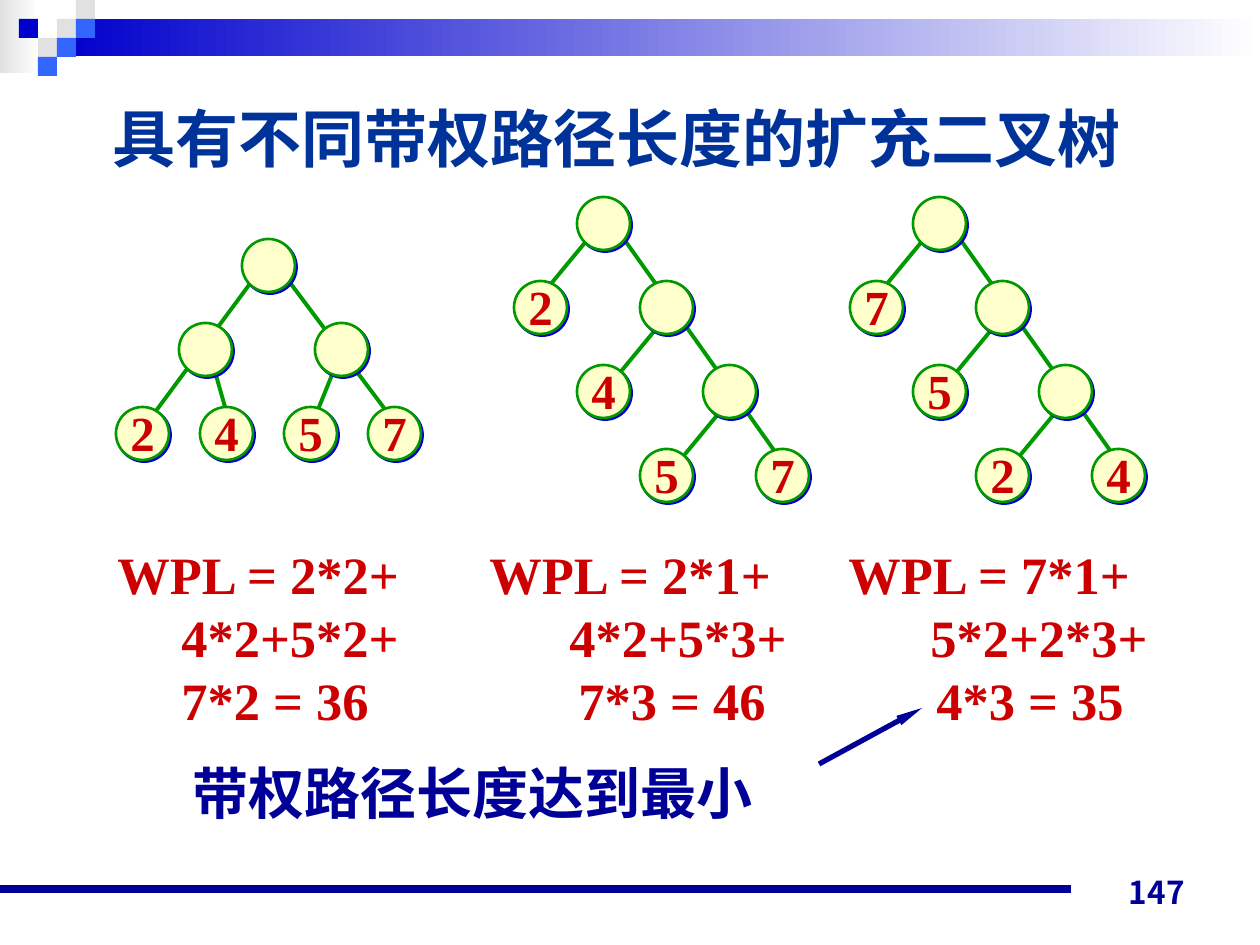
"""Build a slide comparing the weighted path lengths of three extended binary trees."""
from lxml.etree import SubElement
from pptx import Presentation
from pptx.dml.color import RGBColor
from pptx.enum.shapes import MSO_CONNECTOR as Connector, MSO_SHAPE as Shape
from pptx.enum.text import MSO_ANCHOR as Anchor, PP_ALIGN as Align
from pptx.oxml.ns import qn
from pptx.util import Pt

EMU_PER_PX = 914400 / 126
COLORS = {
    "white": "FFFFFF", "grey": "E1E1E1", "blue": "0000CC", "sky": "3366FF",
    "navy": "000099", "title": "003399", "green": "009900", "cream": "FFFFCC",
    "red": "CC0000",
}
SERIF, SANS, NUMBER = "Times New Roman", "Noto Sans CJK SC", "Noto Sans CJK JP"
CELL, NODE, LEVEL, STEP = 19, 53, 84, 63


def px(value):
    return round(value * EMU_PER_PX)


def rgb(name):
    return RGBColor.from_string(COLORS[name])


class Painter:
    """Draws styled elements on the current slide."""

    def __init__(self, page):
        self.page = page

    def shape(self, kind, left, top, width, height):
        shape = self.page.shapes.add_shape(kind, px(left), px(top), px(width), px(height))
        shape.shadow.inherit = False
        return shape

    def rect(self, left, top, width, height, color, end=None):
        rect = self.shape(Shape.RECTANGLE, left, top, width, height)
        rect.line.fill.background()
        if end is None:
            rect.fill.solid()
            rect.fill.fore_color.rgb = rgb(color)
            return
        rect.fill.gradient()
        rect.fill.gradient_angle = 0
        for stop, name in zip(rect.fill.gradient_stops, (color, end)):
            stop.color.rgb = rgb(name)

    def line(self, start, end, color="green", weight=2.25, arrow=False):
        line = self.page.shapes.add_connector(
            Connector.STRAIGHT, *(px(value) for value in (*start, *end)))
        line.line.color.rgb = rgb(color)
        line.line.width = Pt(weight)
        if arrow:
            SubElement(line.line._get_or_add_ln(), qn("a:tailEnd"),
                       type="triangle", w="sm", len="lg")
        SubElement(line._element.spPr, qn("a:effectLst"))

    def node(self, left, top):
        node = self.shape(Shape.OVAL, left, top, NODE, NODE)
        node.fill.solid()
        node.fill.fore_color.rgb = rgb("cream")
        node.line.color.rgb = rgb("green")
        node.line.width = Pt(1.5)
        effects = node._element.spPr.find(qn("a:effectLst"))
        shadow = SubElement(effects, qn("a:outerShdw"), dist=str(Pt(1.4)), dir="2700000",
                            algn="ctr", rotWithShape="0")
        SubElement(shadow, qn("a:srgbClr"), val=COLORS["blue"])

    def box(self, left, top, width, height, anchor=Anchor.TOP, wrap=True, margin=6):
        box = self.page.shapes.add_textbox(px(left), px(top), px(width), px(height))
        frame = box.text_frame
        frame.word_wrap = wrap
        frame.vertical_anchor = anchor
        frame.margin_top = frame.margin_bottom = px(margin)
        return frame

    def style(self, para, text, size, color, font=SERIF, align=Align.LEFT, tabs=()):
        para.text = text
        para.alignment = align
        if tabs:
            stops = SubElement(para._p.get_or_add_pPr(), qn("a:tabLst"))
            for stop in tabs:
                SubElement(stops, qn("a:tab"), pos=str(px(stop)), algn="l")
        para.font.size = Pt(size)
        para.font.bold = True
        para.font.color.rgb = rgb(color)
        para.font.name = font
        east_asian = SANS if font == SERIF else font
        SubElement(para.font._element, qn("a:ea"), typeface=east_asian)

    def label(self, left, top, text):
        frame = self.box(left + 2, top - 11, 49, 71, Anchor.MIDDLE, wrap=False)
        self.style(frame.paragraphs[0], text, 28, "red", align=Align.CENTER)

    def tree(self, edges, nodes):
        for start, end in edges:
            self.line(start, end)
        for left, top, _ in nodes:
            self.node(left, top)
        for left, top, text in nodes:
            if text:
                self.label(left, top, text)


def balanced_tree():
    edges = [((273, 260), (399, 428)), ((336, 365), (315, 417)),
             ((210, 354), (231, 428)), ((252, 281), (136, 438))]
    nodes = [(242, 239, ""), (179, 323, ""), (315, 323, "")]
    nodes += [(116 + LEVEL * i, 407, weight) for i, weight in enumerate("2457")]
    return edges, nodes


def skewed_tree(left, top, weights):
    edges = []
    for level, x in enumerate((11, 84, 147)):
        start = left + x, top + 42 + LEVEL * level
        edges.append((start, (start[0] - 52, start[1] + 63)))
    edges.append(((left + 32, top + 21), (left + 211, top + 273)))
    nodes = [(left + STEP * i, top + LEVEL * i, "") for i in range(3)]
    nodes += [(left + STEP * (i - 1), top + LEVEL * (i + 1), weight)
              for i, weight in enumerate(weights[:3])]
    nodes.append((left + 179, top + LEVEL * 3, weights[3]))
    return edges, nodes


def main():
    deck = Presentation()
    deck.slide_width, deck.slide_height = px(1260), px(945)
    painter = Painter(deck.slides.add_slide(deck.slide_layouts[6]))

    painter.rect(0, 0, 39, 73, "grey", "white")
    painter.rect(57, 19, 1203, 37, "blue", "white")
    for column, row, color in ((3, 1, "grey"), (4, 0, "grey"), (4, 1, "sky"),
                               (2, 2, "grey"), (1, 1, "blue"), (3, 2, "sky"),
                               (2, 3, "sky")):
        painter.rect(CELL * column, CELL * row, CELL, CELL, color)
    painter.line((0, 889), (1071, 889), "navy", 4.5)
    number = painter.box(903, 854, 294, 63, Anchor.BOTTOM)
    painter.style(number.paragraphs[0], "147", 18, "navy", NUMBER, Align.RIGHT)

    title = painter.box(100, 93, 1050, 88, Anchor.MIDDLE, margin=0)
    painter.style(title.paragraphs[0], "具有不同带权路径长度的扩充二叉树", 36, "title")

    formulas = painter.box(105, 536, 1071, 307)
    rows = [("WPL = 2*2+\tWPL = 2*1+\tWPL = 7*1+", (372, 731)),
            ("\t4*2+5*2+\t4*2+5*3+\t5*2+2*3+", (64, 452, 813)),
            ("\t7*2 = 36\t7*3 = 46\t4*3 = 35", (64, 461, 819))]
    for i, (text, tabs) in enumerate(rows):
        para = formulas.add_paragraph() if i else formulas.paragraphs[0]
        painter.style(para, text, 30, "red", tabs=tabs)
        para.line_spacing = Pt(36)
    remark = formulas.add_paragraph()
    painter.style(remark, "\t带权路径长度达到最小", 32, "navy", SANS, tabs=(75,))
    remark.space_before = Pt(16)

    painter.tree(*balanced_tree())
    painter.tree(*skewed_tree(577, 197, "2457"))
    painter.tree(*skewed_tree(913, 197, "7524"))
    painter.line((819, 764), (922, 708), "navy", 3, arrow=True)
    deck.save("out.pptx")


if __name__ == "__main__":
    main()
